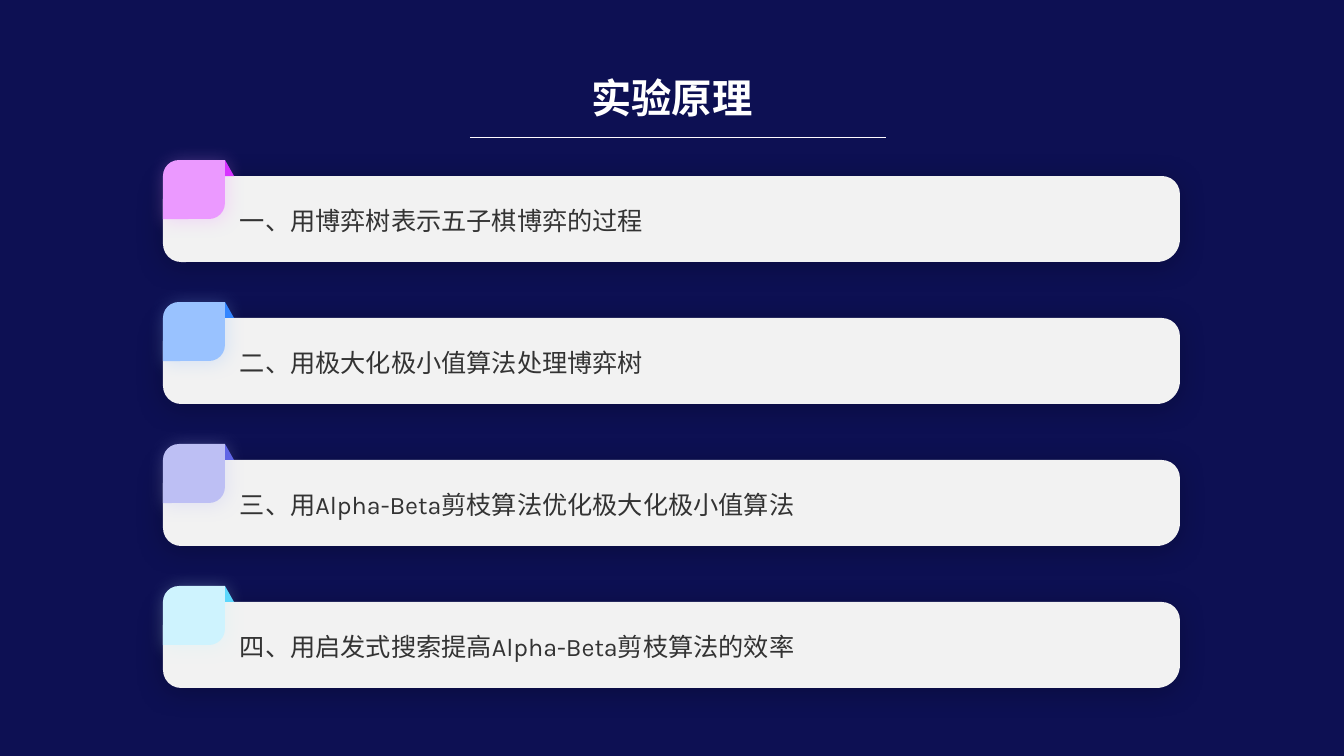
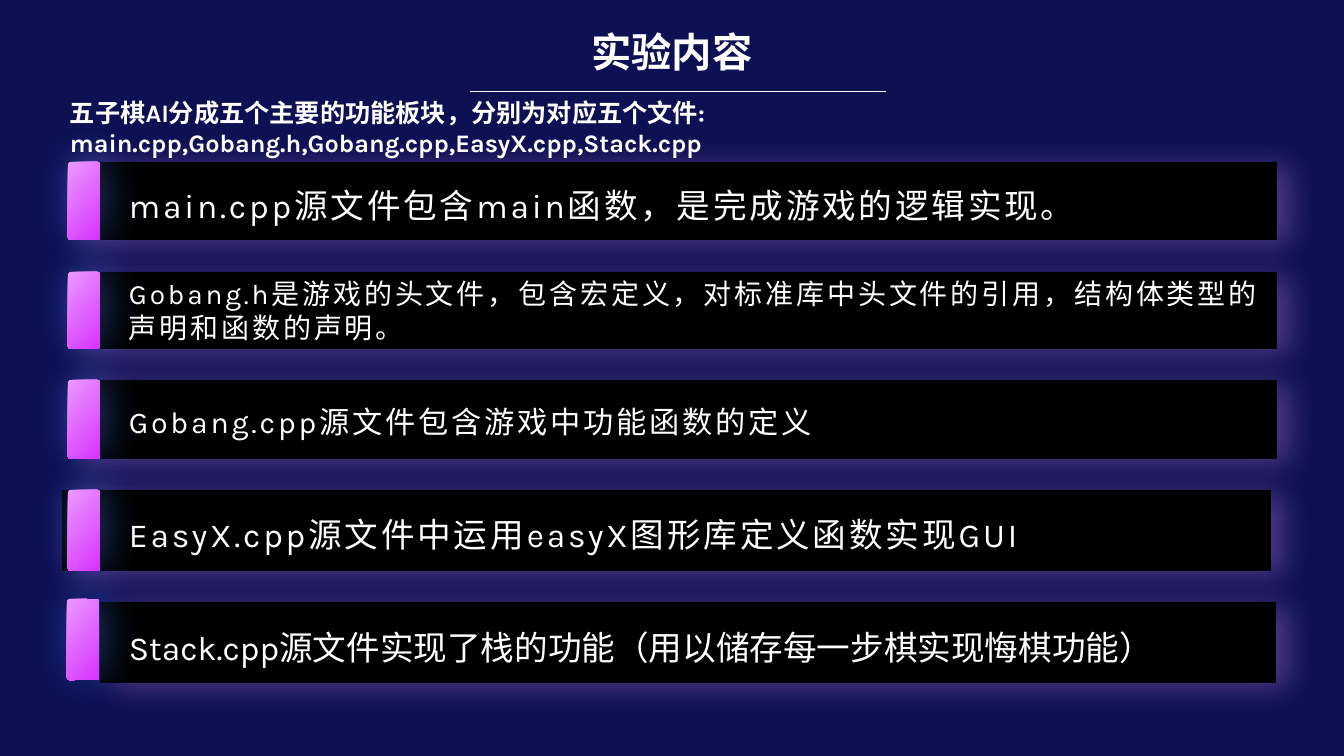
import lxml.etree
import pptx
import pptx.dml.color
import pptx.enum.lang
import pptx.enum.shapes
import pptx.enum.text
import pptx.oxml.ns
import pptx.util

RGB = pptx.dml.color.RGBColor
SHAPE = pptx.enum.shapes.MSO_SHAPE
ALIGN = pptx.enum.text.PP_ALIGN
ANCHOR = pptx.enum.text.MSO_ANCHOR
CHINESE = pptx.enum.lang.MSO_LANGUAGE_ID.SIMPLIFIED_CHINESE
qn = pptx.oxml.ns.qn

# Colours
NAVY = RGB(0x0D, 0x10, 0x53)
WHITE = RGB(0xFF, 0xFF, 0xFF)
RULE = RGB(0xFE, 0xFA, 0xFF)
BLACK = RGB(0x00, 0x00, 0x00)
CARD = RGB(0xF2, 0xF2, 0xF2)
INK = RGB(0x33, 0x33, 0x33)
PINK = RGB(0xEB, 0x99, 0xFF)
MAGENTA = RGB(0xD7, 0x33, 0xFF)
SKY = RGB(0x99, 0xC2, 0xFF)
BLUE = RGB(0x33, 0x85, 0xFF)
LILAC = RGB(0xBD, 0xBF, 0xF4)
VIOLET = RGB(0x60, 0x65, 0xE5)
ICE = RGB(0xCE, 0xF3, 0xFE)
CYAN = RGB(0x5D, 0xD7, 0xFC)
GLOW = RGB(0x45, 0x75, 0xF0)

# Slide size in px and the scale to EMU
WIDTH, HEIGHT = 1344, 756
SCALE = 12192000 / WIDTH


def px(n):
    return pptx.util.Emu(round(n * SCALE))


class Deck:
    FONT = {"name": "Karla", "language_id": CHINESE}

    def __init__(self):
        self.prs = pptx.Presentation()
        self.prs.slide_width, self.prs.slide_height = px(WIDTH), px(HEIGHT)
        fill = self.prs.slide_master.background.fill
        fill.solid()
        fill.fore_color.rgb = NAVY
        self.s = None

    def page(self, title, top):
        """New slide with a title and the rule below it."""
        self.s = self.prs.slides.add_slide(self.prs.slide_layouts[6])
        self.rule(470, 886, top + 72)
        self.text([title], (67, top, 1210, 65), 28.8, bold=True,
                  para={"alignment": ALIGN.CENTER})

    def rule(self, x1, x2, y):
        ln = self.s.shapes.add_connector(
            pptx.enum.shapes.MSO_CONNECTOR.STRAIGHT, px(x1), px(y), px(x2), px(y))
        ln.line.color.rgb = RULE
        ln.line.width = pptx.util.Pt(0.5)
        lxml.etree.SubElement(ln._element.spPr, qn("a:effectLst"))

    def shape(self, kind, box, fill, adj=(), shadow=None):
        """Outline-free shape; a pair of colours as fill makes a gradient."""
        sp = self.s.shapes.add_shape(kind, *map(px, box))
        for i, value in enumerate(adj):
            sp.adjustments[i] = value
        if isinstance(fill, list):
            sp.fill.gradient()
            sp.fill.gradient_angle = 320
            for stop, color in zip(sp.fill.gradient_stops, fill):
                stop.color.rgb = color
        else:
            sp.fill.solid()
            sp.fill.fore_color.rgb = fill
        sp.line.fill.background()
        sp.shadow.inherit = False
        if shadow:
            self.shadow(sp, *shadow)

    def shadow(self, sp, color, alpha, blur, dist, angle):
        """Outer shadow: percent, points, points, degrees."""
        effects = sp._element.spPr.find(qn("a:effectLst"))
        outer = lxml.etree.SubElement(effects, qn("a:outerShdw"), {
            "blurRad": str(pptx.util.Pt(blur)), "dist": str(pptx.util.Pt(dist)),
            "dir": str(angle * 60000), "algn": "ctr", "rotWithShape": "0"})
        clr = lxml.etree.SubElement(outer, qn("a:srgbClr"), val=str(color))
        lxml.etree.SubElement(clr, qn("a:alpha"), val=str(alpha * 1000))

    def text(self, lines, box, size, color=WHITE, bold=False, spacing=0,
             frame=None, para=None):
        tf = self.s.shapes.add_textbox(*map(px, box)).text_frame
        frame = {"word_wrap": True, "vertical_anchor": ANCHOR.MIDDLE, **(frame or {})}
        for key, value in frame.items():
            setattr(tf, key, value)
        for i, line in enumerate(lines):
            p = tf.add_paragraph() if i else tf.paragraphs[0]
            for key, value in (para or {}).items():
                setattr(p, key, value)
            r = p.add_run()
            r.text = line
            font = {**self.FONT, "size": pptx.util.Pt(size), "bold": bold}
            for key, value in font.items():
                setattr(r.font, key, value)
            r.font.color.rgb = color
            if spacing:
                r._r.get_or_add_rPr().set("spc", str(spacing * 100))

    def card(self, top, line, light, dark):
        """Pale card with a folded tab on its upper left corner."""
        diag = SHAPE.ROUND_2_DIAG_RECTANGLE
        self.shape(diag, (163, top, 1017, 86), CARD, (0.27, 0.21),
                   (BLACK, 23, 20, 3, 107))
        self.shape(diag, (163, top - 16, 62, 59), light, (0.27, 0),
                   (light, 31, 13, 2, 45))
        self.shape(SHAPE.RIGHT_TRIANGLE, (225, top - 16, 9, 16), dark)
        self.text([line], (230, top, 918, 85), 18, INK,
                  frame={"margin_top": 0, "margin_bottom": px(12)},
                  para={"line_spacing": 1.5})

    def bar(self, box, tab, line, size, leading, spacing, drop):
        """Black bar with a glowing tab at its left and one text."""
        self.shape(SHAPE.RECTANGLE, box, BLACK, shadow=(PINK, 30, 22, 9, 17))
        self.shape(SHAPE.ROUNDED_RECTANGLE, (*tab, 32, box[3]), [PINK, MAGENTA],
                   (0.08,), (GLOW, 45, 30, 5, 315))
        self.text([line], (119, box[1] + drop, 1158, box[3]), size,
                  spacing=spacing, para={"line_spacing": leading})


def main():
    deck = Deck()

    # Principles
    deck.page("实验原理", 65)
    cards = [
        ("一、用博弈树表示五子棋博弈的过程", PINK, MAGENTA),
        ("二、用极大化极小值算法处理博弈树", SKY, BLUE),
        ("三、用Alpha-Beta剪枝算法优化极大化极小值算法", LILAC, VIOLET),
        ("四、用启发式搜索提高Alpha-Beta剪枝算法的效率", ICE, CYAN),
    ]
    for i, card in enumerate(cards):
        deck.card(176 + 142 * i, *card)

    # Contents: bar box, tab corner, text, size, leading, spacing, drop
    deck.page("实验内容", 19)
    bars = [
        ((68, 162, 1209, 78), (68, 162),
         "main.cpp源文件包含main函数，是完成游戏的逻辑实现。", 24, 1.2, 2, 0),
        ((68, 272, 1209, 77), (68, 272),
         "Gobang.h是游戏的头文件，包含宏定义，对标准库中头文件的引用，"
         "结构体类型的声明和函数的声明。", 20, 1, 2, 0),
        ((68, 380, 1209, 79), (68, 380),
         "Gobang.cpp源文件包含游戏中功能函数的定义", 21.6, 1.1, 2, 0),
        ((62, 490, 1209, 81), (68, 490),
         "EasyX.cpp源文件中运用easyX图形库定义函数实现GUI", 24, 1.2, 2, 0),
        ((100, 602, 1176, 81), (67, 599),
         "Stack.cpp源文件实现了栈的功能（用以储存每一步棋实现悔棋功能）", 24, 1, 0, 5),
    ]
    for bar in bars:
        deck.bar(*bar)
    deck.text(["五子棋AI分成五个主要的功能板块，分别为对应五个文件:",
               "main.cpp,Gobang.h,Gobang.cpp,EasyX.cpp,Stack.cpp"],
              (60, 92, 1219, 70), 18, bold=True,
              frame={"vertical_anchor": ANCHOR.TOP})

    deck.prs.save("out.pptx")


if __name__ == "__main__":
    main()
